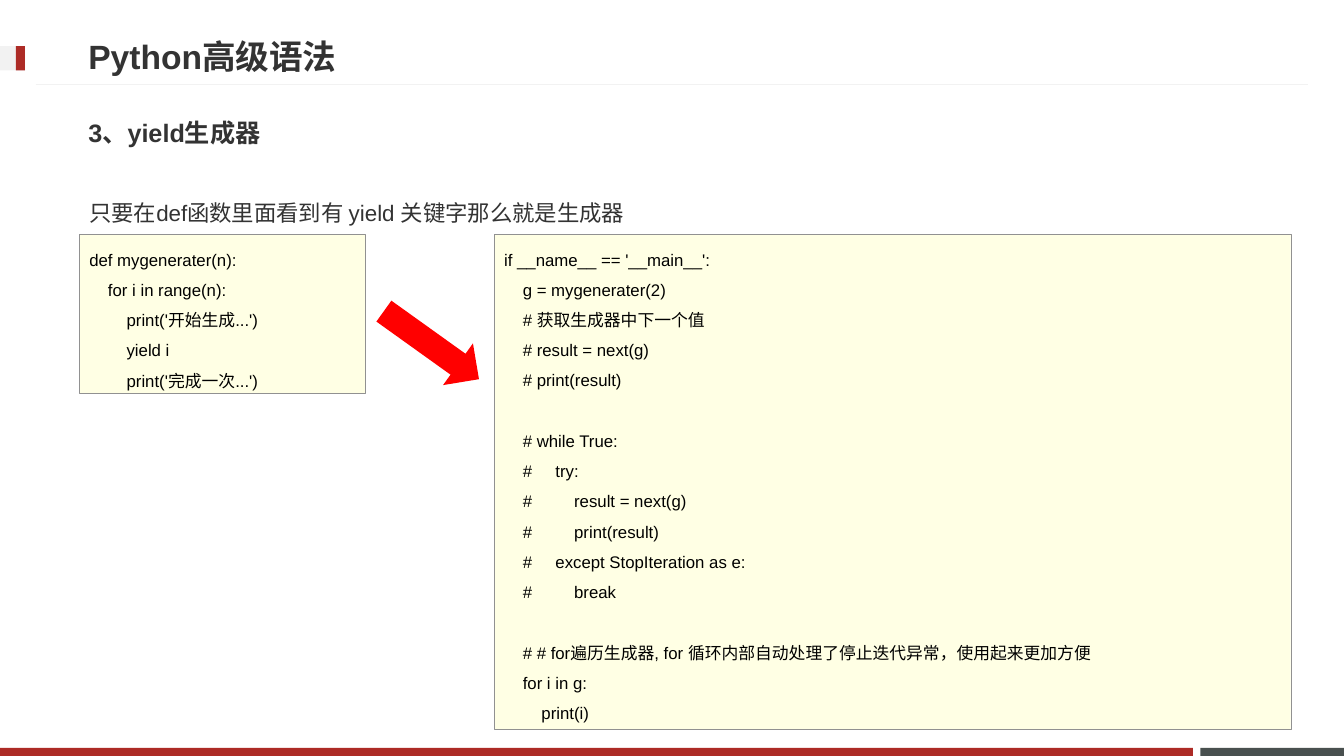
from pptx import Presentation
from pptx.dml.color import RGBColor
from pptx.enum.shapes import MSO_CONNECTOR, MSO_SHAPE
from pptx.enum.text import MSO_ANCHOR, PP_ALIGN
from pptx.oxml.ns import qn
from pptx.util import Pt
from lxml import etree

FONT = "Arial"
RED, GREY, PALE, INK = "AD2B26", "49504F", "F2F2F2", "333333"
CODE_SIZE = 12
INDENT = 13.34  # width of four spaces of code
HASH = 10  # width of "# "
BLANK_LINE = 21.6

# Each code line: indent level, text, levels of code behind the "#", blank line above
GENERATOR_CODE = [
    (0, "def mygenerater(n):", 0, False),
    (1, "for i in range(n):", 0, False),
    (2, "print('开始生成...')", 0, False),
    (2, "yield i", 0, False),
    (2, "print('完成一次...')", 0, False),
]
MAIN_CODE = [
    (0, "if __name__ == '__main__':", 0, False),
    (1, "g = mygenerater(2)", 0, False),
    (1, "# 获取生成器中下一个值", 0, False),
    (1, "# result = next(g)", 0, False),
    (1, "# print(result)", 0, False),
    (1, "# while True:", 0, True),
    (1, "#\ttry:", 1, False),
    (1, "#\tresult = next(g)", 2, False),
    (1, "#\tprint(result)", 2, False),
    (1, "#\texcept StopIteration as e:", 1, False),
    (1, "#\tbreak", 2, False),
    (1, "# # for遍历生成器, for 循环内部自动处理了停止迭代异常，使用起来更加方便", 0, True),
    (1, "for i in g:", 0, False),
    (2, "print(i)", 0, False),
]


def color(hex_string):
    return RGBColor.from_string(hex_string)


def style_font(paragraph, size, hex_string, bold=False):
    font = paragraph.font
    font.name, font.size, font.bold = FONT, Pt(size), bold
    font.color.rgb = color(hex_string)


def add_block(slide, kind, left, top, width, height, fill):
    shape = slide.shapes.add_shape(kind, Pt(left), Pt(top), Pt(width), Pt(height))
    shape.shadow.inherit = False
    shape.fill.solid()
    shape.fill.fore_color.rgb = color(fill)
    shape.line.fill.background()
    return shape


def add_rule(slide, left, right, y):
    line = slide.shapes.add_connector(
        MSO_CONNECTOR.STRAIGHT, Pt(left), Pt(y), Pt(right), Pt(y))
    line.line.color.rgb = color(PALE)
    line.line.width = Pt(0.75)
    etree.SubElement(line._element.spPr, qn("a:effectLst"))


def add_text(slide, text, left, top, width, height, size, bold=False,
             anchor=MSO_ANCHOR.MIDDLE, spacing=1.0):
    frame = slide.shapes.add_textbox(
        Pt(left), Pt(top), Pt(width), Pt(height)).text_frame
    frame.word_wrap = True
    frame.vertical_anchor = anchor
    paragraph = frame.paragraphs[0]
    paragraph.text = text
    paragraph.line_spacing = spacing
    style_font(paragraph, size, INK, bold)


def add_code(slide, lines, left, top, width, height):
    shape = add_block(slide, MSO_SHAPE.RECTANGLE, left, top, width, height, "FFFFE4")
    shape.line.color.rgb = color("919191")
    shape.line.width = Pt(0.25)
    frame = shape.text_frame
    frame.word_wrap = True
    frame.vertical_anchor = MSO_ANCHOR.TOP
    for index, (level, text, inner, blank_above) in enumerate(lines):
        paragraph = frame.add_paragraph() if index else frame.paragraphs[0]
        paragraph.text = text
        paragraph.alignment = PP_ALIGN.LEFT
        paragraph.line_spacing = 1.5
        if blank_above:
            paragraph.space_before = Pt(BLANK_LINE)
        style_font(paragraph, CODE_SIZE, "000000")
        # A hanging indent places the code behind the "#"
        hanging = HASH + INDENT * inner if inner else 0
        properties = paragraph._p.get_or_add_pPr()
        properties.set("marL", str(Pt(INDENT * level + hanging)))
        properties.set("indent", str(-Pt(hanging)))


def main():
    presentation = Presentation()
    presentation.slide_width, presentation.slide_height = Pt(960), Pt(540)
    slide = presentation.slides.add_slide(presentation.slide_layouts[6])

    # Footer bars, header rule and header marker
    add_block(slide, MSO_SHAPE.RECTANGLE, 857.5, 534.2, 102.5, 5.8, GREY)
    add_block(slide, MSO_SHAPE.RECTANGLE, 0, 534.2, 852, 5.8, RED)
    add_rule(slide, 25.5, 934.5, 60.3)
    add_block(slide, MSO_SHAPE.RECTANGLE, 0, 33, 18, 17.3, PALE)
    add_block(slide, MSO_SHAPE.RECTANGLE, 11.3, 33, 6.5, 17.3, RED)

    # Headings and explanation
    add_text(slide, "Python高级语法", 56, 19.5, 690, 41, 24, bold=True)
    add_text(slide, "3、yield生成器", 56, 74.2, 847, 41, 18, bold=True)
    add_text(slide, "只要在def函数里面看到有 yield 关键字那么就是生成器",
             56.7, 129, 847, 36, 16, anchor=MSO_ANCHOR.TOP, spacing=1.5)

    # Code boxes and the arrow between them
    add_code(slide, GENERATOR_CODE, 56.7, 167.3, 204.5, 113.7)
    add_code(slide, MAIN_CODE, 353, 167.3, 569, 353.7)
    arrow = add_block(slide, MSO_SHAPE.RIGHT_ARROW, 266.4, 228.2, 83.5, 36.7, "FF0000")
    arrow.rotation = 35.6

    presentation.save("out.pptx")


if __name__ == "__main__":
    main()
